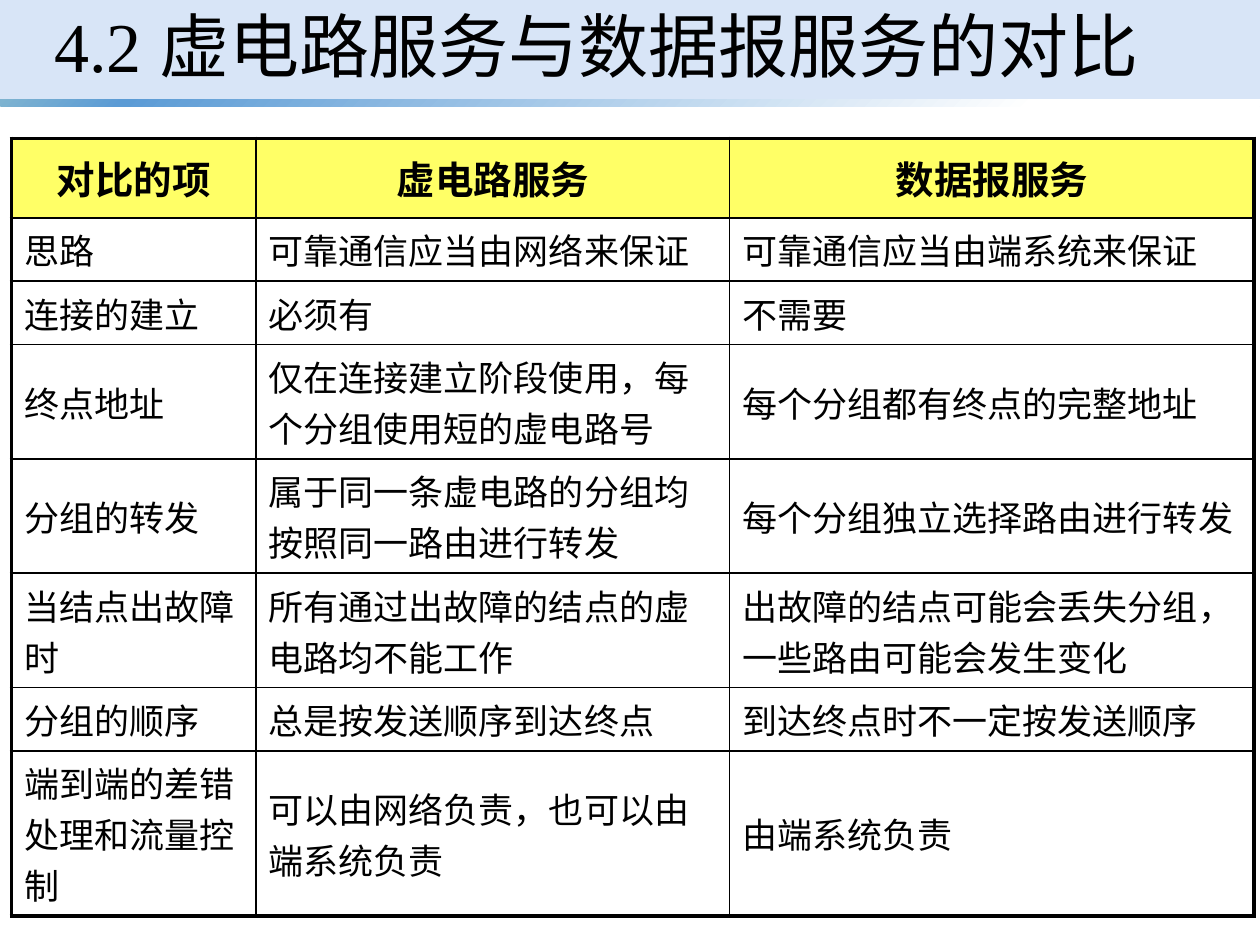
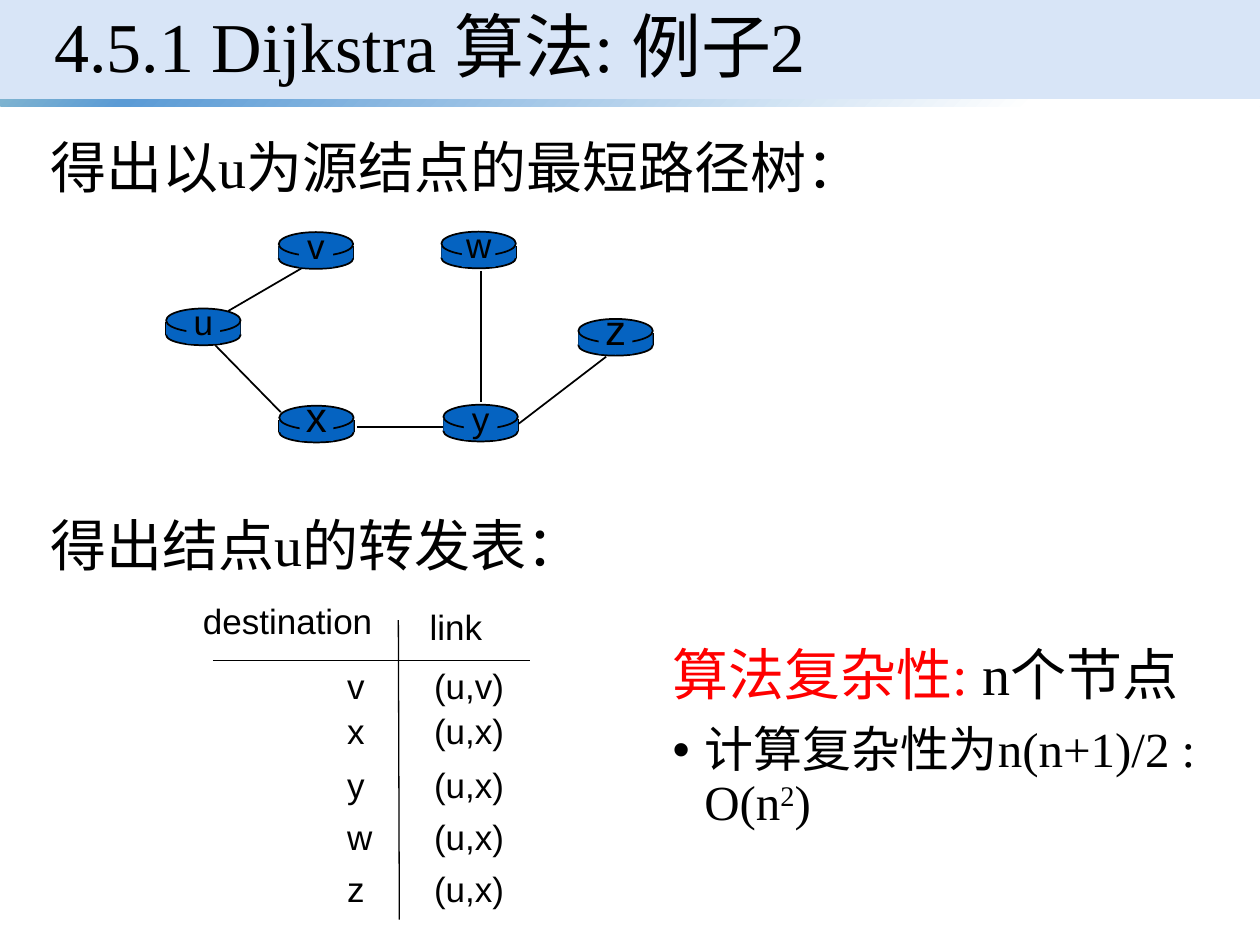
from lxml.etree import SubElement
from pptx import Presentation
from pptx.dml.color import RGBColor
from pptx.enum.shapes import MSO_CONNECTOR as Connector, MSO_SHAPE as Shape
from pptx.enum.text import MSO_ANCHOR as Anchor, MSO_AUTO_SIZE as AutoSize, PP_ALIGN as Align
from pptx.oxml import parse_xml
from pptx.oxml.ns import nsdecls, qn
from pptx.util import Cm, Pt

BLACK, RED = "000000", "FF0000"
HEADER_YELLOW, ROUTER_BLUE, BAND_BLUE = "FFFF66", "0563C1", "C8DAF4"
STRIP_STOPS = [(0, "7EB3D0"), (10, "5B9BD5"), (82, "FFFFFF"), (96, "FFFFFF")]
SERIF, SANS, HEADER_FONT, CHINESE = "Times New Roman", "Arial", "Calibri", "Noto Sans CJK SC"

COMPARISON = [
    ("对比的项", "虚电路服务", "数据报服务"),
    ("思路", "可靠通信应当由网络来保证", "可靠通信应当由端系统来保证"),
    ("连接的建立", "必须有", "不需要"),
    ("终点地址", "仅在连接建立阶段使用，每个分组使用短的虚电路号", "每个分组都有终点的完整地址"),
    ("分组的转发", "属于同一条虚电路的分组均按照同一路由进行转发", "每个分组独立选择路由进行转发"),
    ("当结点出故障时", "所有通过出故障的结点的虚电路均不能工作",
     "出故障的结点可能会丢失分组，一些路由可能会发生变化"),
    ("分组的顺序", "总是按发送顺序到达终点", "到达终点时不一定按发送顺序"),
    ("端到端的差错处理和流量控制", "可以由网络负责，也可以由端系统负责", "由端系统负责"),
]
COLUMN_WIDTHS = [4.93, 9.55, 10.57]
ROW_HEIGHTS = [1.6, 1.02, 1.02, 1.8, 1.8, 1.8, 1.02, 2.29]

ROUTERS = [
    ("u", 3.35, 6.22, 20), ("x", 5.63, 8.18, 24), ("v", 5.62, 4.68, 20),
    ("w", 8.9, 4.67, 20), ("y", 8.94, 8.16, 20), ("z", 11.66, 6.43, 24),
]
TREE_LINKS = [
    (4.6, 6.27, 6.25, 5.31), (9.7, 5.46, 9.7, 8.1), (10.46, 8.54, 12.22, 7.19),
    (8.94, 8.61, 7.19, 8.61), (5.66, 8.31, 4.34, 6.96),
]
FORWARDING = [
    ("v", "(u,v)", 13.28), ("x", "(u,x)", 14.17), ("y", "(u,x)", 15.27),
    ("w", "(u,x)", 16.31), ("z", "(u,x)", 17.36),
]


def rgb(color):
    """Turn a hex string into a colour."""
    return RGBColor.from_string(color)


def write(paragraph, text, font=SANS, size=20, color=BLACK, bold=False,
          align=None, spacing=None, baseline=None):
    """Add a formatted run to a paragraph."""
    run = paragraph.add_run()
    run.text = text
    run.font.name, run.font.size, run.font.bold = font, Pt(size), bold
    run.font.color.rgb = rgb(color)
    properties = run.font._element
    SubElement(properties, qn("a:ea")).set("typeface", CHINESE)
    if baseline:
        properties.set("baseline", str(baseline * 1000))
    if align is not None:
        paragraph.alignment = align
    if spacing:
        paragraph.line_spacing = spacing


def add_text_frame(shapes, left, top, width, height):
    """Add a wrapping text box and return its frame."""
    frame = shapes.add_textbox(Cm(left), Cm(top), Cm(width), Cm(height)).text_frame
    frame.word_wrap = True
    return frame


def add_label(shapes, text, box, **style):
    """Add a one-paragraph text box."""
    write(add_text_frame(shapes, *box).paragraphs[0], text, **style)


def add_block(shapes, kind, box, fill, line=None):
    """Add a filled preset shape, outlined if a line colour is given."""
    block = shapes.add_shape(kind, *map(Cm, box))
    block.shadow.inherit = False
    block.fill.solid()
    block.fill.fore_color.rgb = rgb(fill)
    if line:
        block.line.color.rgb = rgb(line)
        block.line.width = Pt(1)
    else:
        block.line.fill.background()
    return block


def add_line(shapes, ends, width=1):
    """Add a straight black line."""
    line = shapes.add_connector(Connector.STRAIGHT, *map(Cm, ends))
    line.line.color.rgb = rgb(BLACK)
    line.line.width = Pt(width)
    SubElement(line.element.spPr, qn("a:effectLst"))


def move_bands_to_layout(slide, layout):
    """Draw the title bands and place them on the shared layout."""
    title_band = add_block(slide.shapes, Shape.RECTANGLE, (0, 0, 25.4, 2), BAND_BLUE)
    band_color = title_band.element.spPr.find(".//" + qn("a:srgbClr"))
    SubElement(band_color, qn("a:alpha")).set("val", "70000")
    strip = add_block(slide.shapes, Shape.RECTANGLE, (0, 2, 25.4, 0.14), BAND_BLUE)
    stops = "".join(f'<a:gs pos="{place * 1000}"><a:srgbClr val="{color}"/></a:gs>'
                    for place, color in STRIP_STOPS)
    gradient = parse_xml(f'<a:gradFill {nsdecls("a")}><a:gsLst>{stops}</a:gsLst>'
                         '<a:lin ang="2700000" scaled="1"/></a:gradFill>')
    properties = strip.element.spPr
    properties.replace(properties.find(qn("a:solidFill")), gradient)
    for unused in list(layout.placeholders)[1:]:
        unused.element.getparent().remove(unused.element)
    for position, band in enumerate((title_band, strip), start=2):
        layout.element.cSld.spTree.insert(position, band.element)


def set_title(slide, *parts):
    """Place the title and write its parts, each a text and a font."""
    title = slide.shapes.title
    title.left, title.top, title.width, title.height = map(Cm, (0.84, 0, 23.75, 2))
    frame = title.text_frame
    frame.auto_size, frame.vertical_anchor = AutoSize.NONE, Anchor.MIDDLE
    for text, font in parts:
        write(frame.paragraphs[0], text, font=font, size=40, align=Align.LEFT, spacing=0.9)


def set_borders(cell, **widths):
    """Give a cell black borders, with widths in points by side."""
    for position, (side, width) in enumerate(widths.items()):
        border = parse_xml(
            f'<a:ln{side} {nsdecls("a")} w="{Pt(width)}"><a:solidFill>'
            f'<a:srgbClr val="{BLACK}"/></a:solidFill></a:ln{side}>')
        cell._tc.get_or_add_tcPr().insert(position, border)


def add_comparison(slide):
    """Add the table that compares the two services."""
    last_row, last_column = len(ROW_HEIGHTS) - 1, len(COLUMN_WIDTHS) - 1
    table = slide.shapes.add_table(
        len(ROW_HEIGHTS), len(COLUMN_WIDTHS), Cm(0.23), Cm(2.79),
        Cm(sum(COLUMN_WIDTHS)), Cm(sum(ROW_HEIGHTS))).table
    table.first_row = table.horz_banding = False
    for column, width in zip(table.columns, COLUMN_WIDTHS):
        column.width = Cm(width)
    for r, (row, height) in enumerate(zip(table.rows, ROW_HEIGHTS)):
        row.height = Cm(height)
        for c, cell in enumerate(row.cells):
            cell.vertical_anchor = Anchor.MIDDLE
            paragraph = cell.text_frame.paragraphs[0]
            if r == 0:
                cell.fill.solid()
                cell.fill.fore_color.rgb = rgb(HEADER_YELLOW)
                write(paragraph, COMPARISON[r][c], font=HEADER_FONT, size=22,
                      bold=True, align=Align.CENTER)
            else:
                cell.fill.background()
                write(paragraph, COMPARISON[r][c])
            set_borders(cell, L=2.25 if c == 0 else 1, R=2.25 if c == last_column else 1,
                        T=2.25 if r == 0 else 1, B=2.25 if r == last_row else 1)


def add_router(shapes, name, left, top, size):
    """Add a disc-shaped router with its name."""
    width, side_top, side_height = 1.5, top + 0.28, 0.25
    add_block(shapes, Shape.OVAL, (left, top + 0.33, width, 0.41), ROUTER_BLUE, BLACK)
    for x in (left, left + width):
        add_line(shapes, (x, side_top, x, side_top + side_height))
    add_block(shapes, Shape.RECTANGLE, (left, side_top, width, side_height), ROUTER_BLUE)
    add_block(shapes, Shape.OVAL, (left, top, width, 0.48), ROUTER_BLUE, BLACK)
    add_block(shapes, Shape.RECTANGLE, (left + 0.41, top + 0.05, 0.68, 0.66), ROUTER_BLUE)
    label_top = top + 0.47 - size * 0.0375
    add_label(shapes, name, (left + 0.2, label_top, 1.1, size * 0.06),
              size=size, align=Align.CENTER)


def add_path_tree(slide):
    """Add the shortest-path tree of routers and links."""
    tree = slide.shapes.add_group_shape().shapes
    for ends in TREE_LINKS:
        add_line(tree, ends)
    for router in ROUTERS:
        add_router(tree, *router)


def add_forwarding_table(slide):
    """Add the ruled forwarding list of node u."""
    listing = slide.shapes.add_group_shape().shapes
    add_line(listing, (8.03, 12.5, 8.05, 18.54), 0.75)
    add_line(listing, (4.29, 13.31, 10.69, 13.31), 0.75)
    add_label(listing, "destination", (3.84, 11.96, 4.22, 1.14))
    add_label(listing, "link", (8.41, 12.09, 1.68, 1.14))
    for destination, link, top in FORWARDING:
        add_label(listing, destination, (6.75, top, 1.1, 1.14))
        add_label(listing, link, (8.5, top, 2.06, 1.14))


def add_complexity(slide):
    """Add the note on the complexity of the algorithm."""
    frame = add_text_frame(slide.shapes, 13.31, 12.93, 11.66, 4.37)
    heading, result = frame.paragraphs[0], frame.add_paragraph()
    for paragraph in (heading, result):
        properties = paragraph._p.get_or_add_pPr()
        properties.set("marL", str(Cm(0.64)))
        properties.set("indent", str(-Cm(0.64)))
    SubElement(result._p.pPr, qn("a:buFont")).set("typeface", SANS)
    SubElement(result._p.pPr, qn("a:buChar")).set("char", "•")
    result.space_before = Pt(10)
    write(heading, "算法复杂性: ", font=SERIF, size=32, color=RED, spacing=0.9)
    write(heading, "n个节点", font=SERIF, size=32)
    write(result, "计算复杂性为n(n+1)/2 : O(n", font=SERIF, size=28, spacing=0.9)
    write(result, "2", font=SERIF, size=28, baseline=30)
    write(result, ")", font=SERIF, size=28)


def main():
    """Build both slides and save them."""
    deck = Presentation()
    deck.slide_width, deck.slide_height = Cm(25.4), Cm(19.05)
    title_only = deck.slide_layouts[5]

    services = deck.slides.add_slide(title_only)
    move_bands_to_layout(services, title_only)
    set_title(services, ("4.2 ", SERIF), ("虚电路服务与数据报服务的对比", CHINESE))
    add_comparison(services)

    dijkstra = deck.slides.add_slide(title_only)
    set_title(dijkstra, ("4.5.1 Dijkstra 算法: 例子2", SERIF))
    add_label(dijkstra.shapes, "得出以u为源结点的最短路径树：", (0.76, 2.54, 17.04, 1.63),
              font=SERIF, size=32)
    add_path_tree(dijkstra)
    add_label(dijkstra.shapes, "得出结点u的转发表：", (0.76, 10.16, 11.51, 1.63),
              font=SERIF, size=32)
    add_forwarding_table(dijkstra)
    add_complexity(dijkstra)
    deck.save("out.pptx")


if __name__ == "__main__":
    main()
